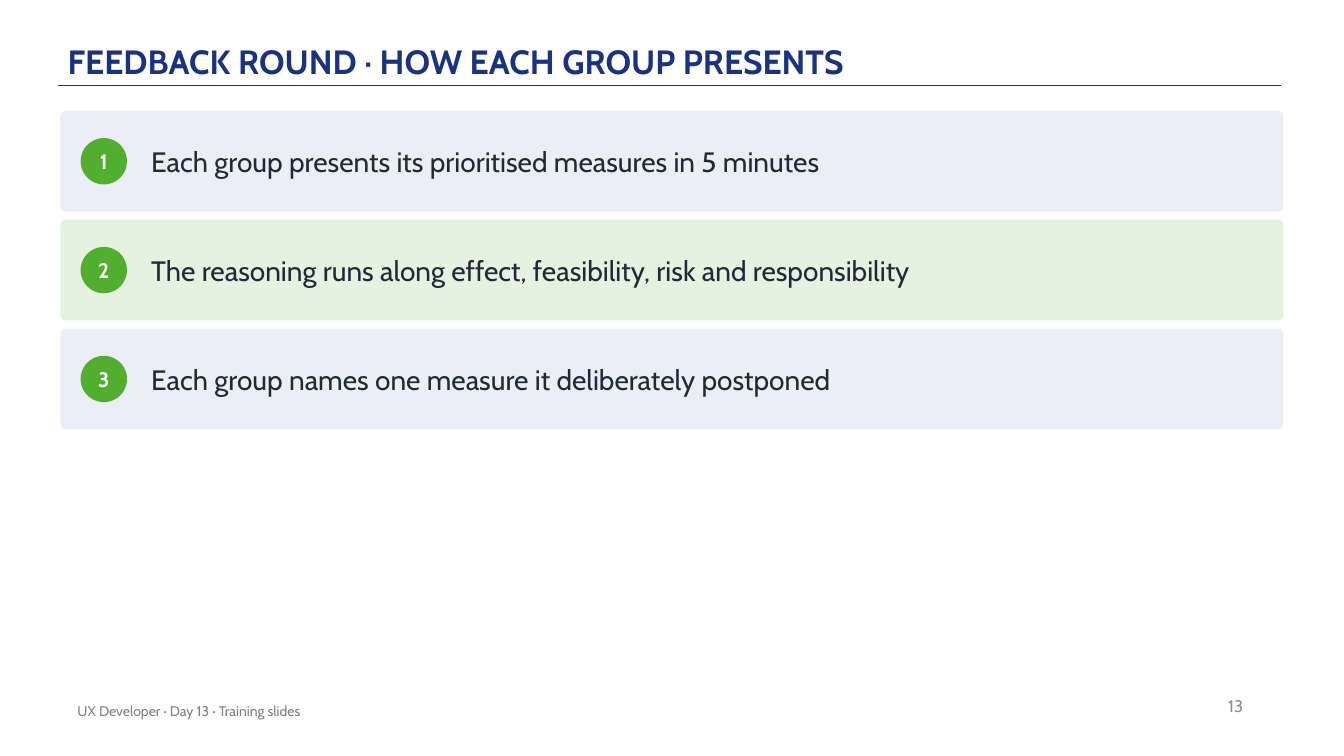
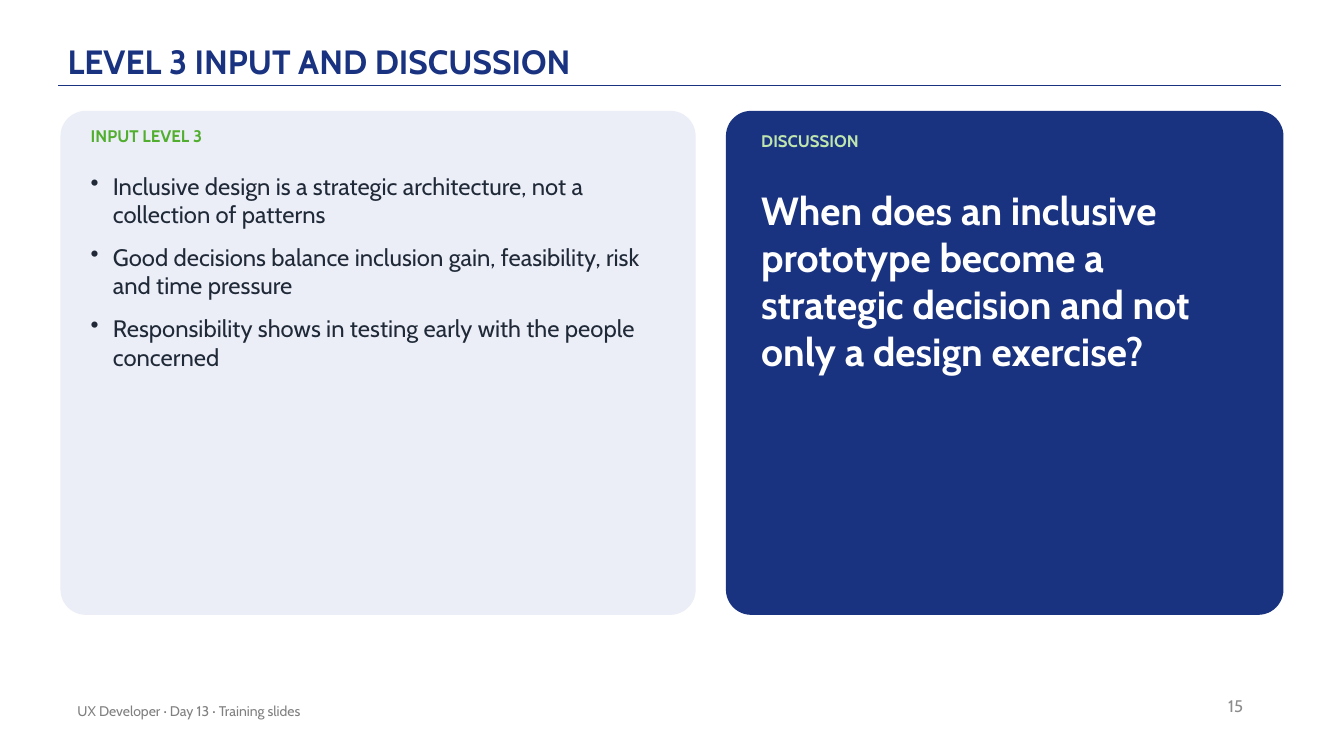
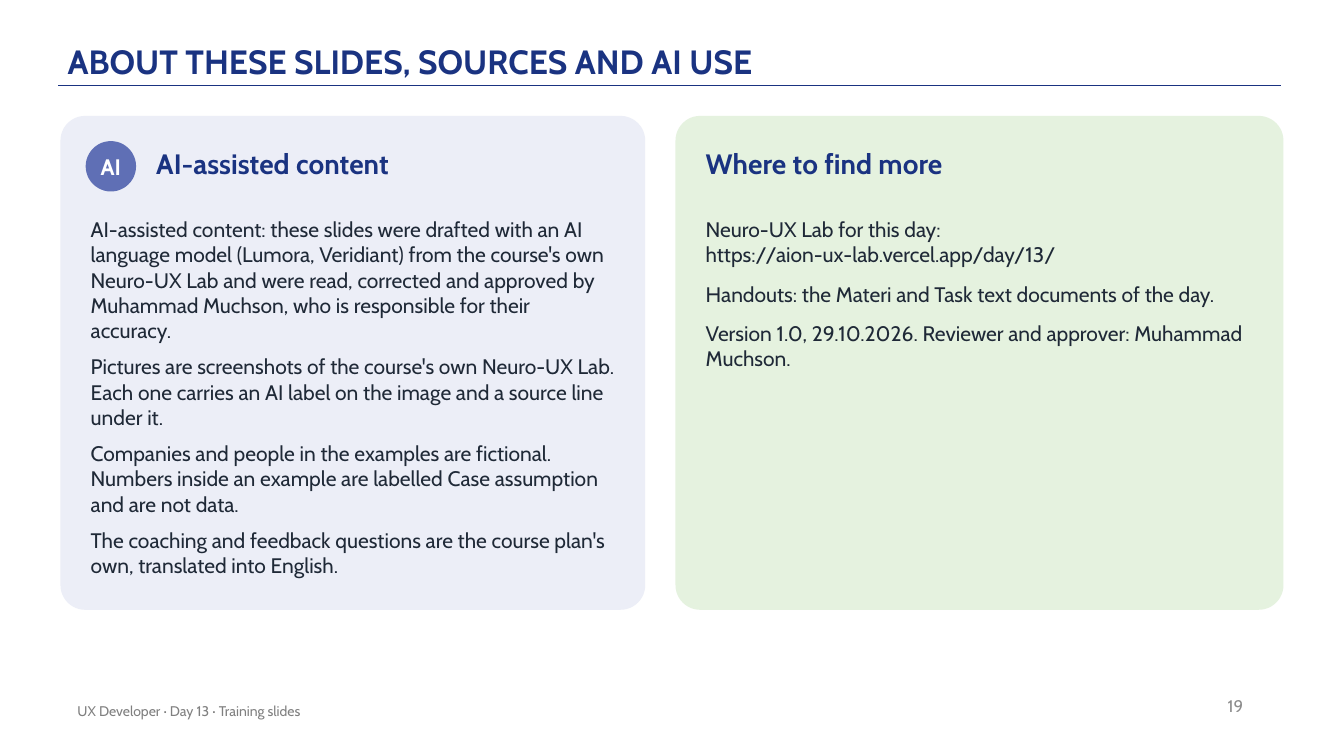
from lxml import etree
from pptx import Presentation
from pptx.dml.color import RGBColor
from pptx.enum.shapes import MSO_CONNECTOR, MSO_SHAPE
from pptx.enum.text import MSO_ANCHOR, MSO_AUTO_SIZE, PP_ALIGN
from pptx.oxml.ns import qn
from pptx.util import Inches, Pt

FONT = "Cabin"
NAVY = RGBColor(0x1A, 0x33, 0x81)
GREEN = RGBColor(0x51, 0xAE, 0x2F)
INDIGO = RGBColor(0x5F, 0x6F, 0xB5)
PALE_BLUE = RGBColor(0xEC, 0xEE, 0xF7)
PALE_GREEN = RGBColor(0xE5, 0xF2, 0xDF)
LIGHT_GREEN = RGBColor(0xBF, 0xE5, 0xAE)
INK = RGBColor(0x1F, 0x29, 0x37)
NUMBER_GREY = RGBColor(0x8C, 0x8C, 0x8C)
FOOTER_GREY = RGBColor(0x80, 0x80, 0x80)
WHITE = RGBColor(0xFF, 0xFF, 0xFF)

FOOTER = "UX Developer · Day 13 · Training slides"
LEFT = 0.6
RIGHT = 12.73
PANEL_GAP = 0.3


def set_bullet(paragraph, indent):
    properties = paragraph._p.get_or_add_pPr()
    properties.set("marL", str(Inches(indent)))
    properties.set("indent", str(-Inches(indent)))
    etree.SubElement(properties, qn("a:buChar")).set("char", "•")


def write_text(frame, texts, size, color, bold=False, align=PP_ALIGN.LEFT,
               anchor=MSO_ANCHOR.TOP, margins=(0, 0), space_after=0, bullets=False):
    frame.word_wrap = True
    frame.auto_size = MSO_AUTO_SIZE.NONE
    frame.vertical_anchor = anchor
    frame.margin_left = frame.margin_right = Inches(margins[0])
    frame.margin_top = frame.margin_bottom = Inches(margins[1])
    for index, text in enumerate(texts):
        paragraph = frame.add_paragraph() if index else frame.paragraphs[0]
        if bullets:
            set_bullet(paragraph, 0.22)
        paragraph.alignment = align
        paragraph.space_after = Pt(space_after)
        run = paragraph.add_run()
        run.text = text
        run.font.name = FONT
        run.font.size = Pt(size)
        run.font.bold = bold
        run.font.color.rgb = color


def add_text(slide, box, texts, size, color, **style):
    textbox = slide.shapes.add_textbox(*map(Inches, box))
    write_text(textbox.text_frame, texts, size, color, **style)


def add_filled(slide, preset, box, fill):
    shape = slide.shapes.add_shape(preset, *map(Inches, box))
    shape.shadow.inherit = False
    shape.fill.solid()
    shape.fill.fore_color.rgb = fill
    shape.line.fill.background()
    return shape


def add_panel(slide, box, fill):
    panel = add_filled(slide, MSO_SHAPE.ROUNDED_RECTANGLE, box, fill)
    panel.adjustments[0] = 0.05


def add_badge(slide, left, top, diameter, label, size, fill):
    badge = add_filled(slide, MSO_SHAPE.OVAL, (left, top, diameter, diameter), fill)
    write_text(badge.text_frame, [label], size, WHITE, bold=True,
               align=PP_ALIGN.CENTER, anchor=MSO_ANCHOR.MIDDLE)


def add_panel_pair(slide, top, height, left_width, left_fill, right_fill):
    right_start = LEFT + left_width + PANEL_GAP
    add_panel(slide, (LEFT, top, left_width, height), left_fill)
    add_panel(slide, (right_start, top, RIGHT - right_start, height), right_fill)


def add_slide(deck, title, number):
    slide = deck.slides.add_slide(deck.slide_layouts[5])
    rule = slide.shapes.add_connector(
        MSO_CONNECTOR.STRAIGHT, Inches(0.58), Inches(0.85), Inches(12.71), Inches(0.85))
    rule.line.color.rgb = NAVY
    rule.line.width = Pt(1)
    etree.SubElement(rule._element.spPr, qn("a:effectLst"))

    heading = slide.shapes.title
    heading.left, heading.top, heading.width, heading.height = map(
        Inches, (0.67, 0.12, 11, 0.72))
    write_text(heading.text_frame, [title], 24, NAVY, bold=True,
               anchor=MSO_ANCHOR.BOTTOM, margins=(0, 0.03))
    heading.text_frame.paragraphs[0].line_spacing = 0.9

    add_text(slide, (9.43, 6.8, 3, 0.4), [str(number)], 12, NUMBER_GREY,
             align=PP_ALIGN.RIGHT, anchor=MSO_ANCHOR.MIDDLE, margins=(0.1, 0.05))
    add_text(slide, (0.67, 6.85, 6.7, 0.4), [FOOTER], 10, FOOTER_GREY,
             anchor=MSO_ANCHOR.MIDDLE, margins=(0.1, 0.05))
    return slide


def build_feedback_round(deck):
    slide = add_slide(deck, "FEEDBACK ROUND · HOW EACH GROUP PRESENTS", 13)
    steps = [
        "Each group presents its prioritised measures in 5 minutes",
        "The reasoning runs along effect, feasibility, risk and responsibility",
        "Each group names one measure it deliberately postponed",
    ]
    for index, step in enumerate(steps):
        top = 1.1 + index * 1.08
        add_panel(slide, (LEFT, top, RIGHT - LEFT, 1), PALE_GREEN if index % 2 else PALE_BLUE)
        add_badge(slide, 0.8, top + 0.27, 0.46, str(index + 1), 15, GREEN)
        add_text(slide, (1.5, top, 11.03, 1), [step], 20, INK, anchor=MSO_ANCHOR.MIDDLE)


def build_discussion(deck):
    slide = add_slide(deck, "LEVEL 3 INPUT AND DISCUSSION", 15)
    add_panel_pair(slide, 1.1, 5, 6.3, PALE_BLUE, NAVY)
    add_text(slide, (0.9, 1.25, 5.7, 0.35), ["INPUT LEVEL 3"], 12, GREEN, bold=True)
    add_text(slide, (0.9, 1.7, 5.7, 4.2), [
        "Inclusive design is a strategic architecture, not a collection of patterns",
        "Good decisions balance inclusion gain, feasibility, risk and time pressure",
        "Responsibility shows in testing early with the people concerned",
    ], 17, INK, space_after=10, bullets=True)
    add_text(slide, (7.55, 1.3, 4.5, 0.35), ["DISCUSSION"], 12, LIGHT_GREEN, bold=True)
    add_text(slide, (7.55, 1.85, 4.83, 4), [
        "When does an inclusive prototype become a strategic decision "
        "and not only a design exercise?",
    ], 28, WHITE, bold=True)


def build_about(deck):
    slide = add_slide(deck, "ABOUT THESE SLIDES, SOURCES AND AI USE", 19)
    add_panel_pair(slide, 1.15, 4.9, 5.8, PALE_BLUE, PALE_GREEN)
    add_badge(slide, 0.85, 1.4, 0.5, "AI", 16, INDIGO)
    add_text(slide, (1.55, 1.45, 4.6, 0.5), ["AI-assisted content"], 20, NAVY, bold=True)
    add_text(slide, (0.9, 2.15, 5.2, 3.8), [
        "AI-assisted content: these slides were drafted with an AI language model "
        "(Lumora, Veridiant) from the course's own Neuro-UX Lab and were read, corrected "
        "and approved by Muhammad Muchson, who is responsible for their accuracy.",
        "Pictures are screenshots of the course's own Neuro-UX Lab. Each one carries "
        "an AI label on the image and a source line under it.",
        "Companies and people in the examples are fictional. Numbers inside an example "
        "are labelled Case assumption and are not data.",
        "The coaching and feedback questions are the course plan's own, "
        "translated into English.",
    ], 15, INK, space_after=8)
    add_text(slide, (7, 1.45, 5.5, 0.5), ["Where to find more"], 20, NAVY, bold=True)
    add_text(slide, (7, 2.15, 5.5, 3.6), [
        "Neuro-UX Lab for this day: https://aion-ux-lab.vercel.app/day/13/",
        "Handouts: the Materi and Task text documents of the day.",
        "Version 1.0, 29.10.2026. Reviewer and approver: Muhammad Muchson.",
    ], 15, INK, space_after=10)


def main():
    deck = Presentation()
    deck.slide_width = Inches(13.33)
    deck.slide_height = Inches(7.5)
    build_feedback_round(deck)
    build_discussion(deck)
    build_about(deck)
    deck.save("out.pptx")


if __name__ == "__main__":
    main()
